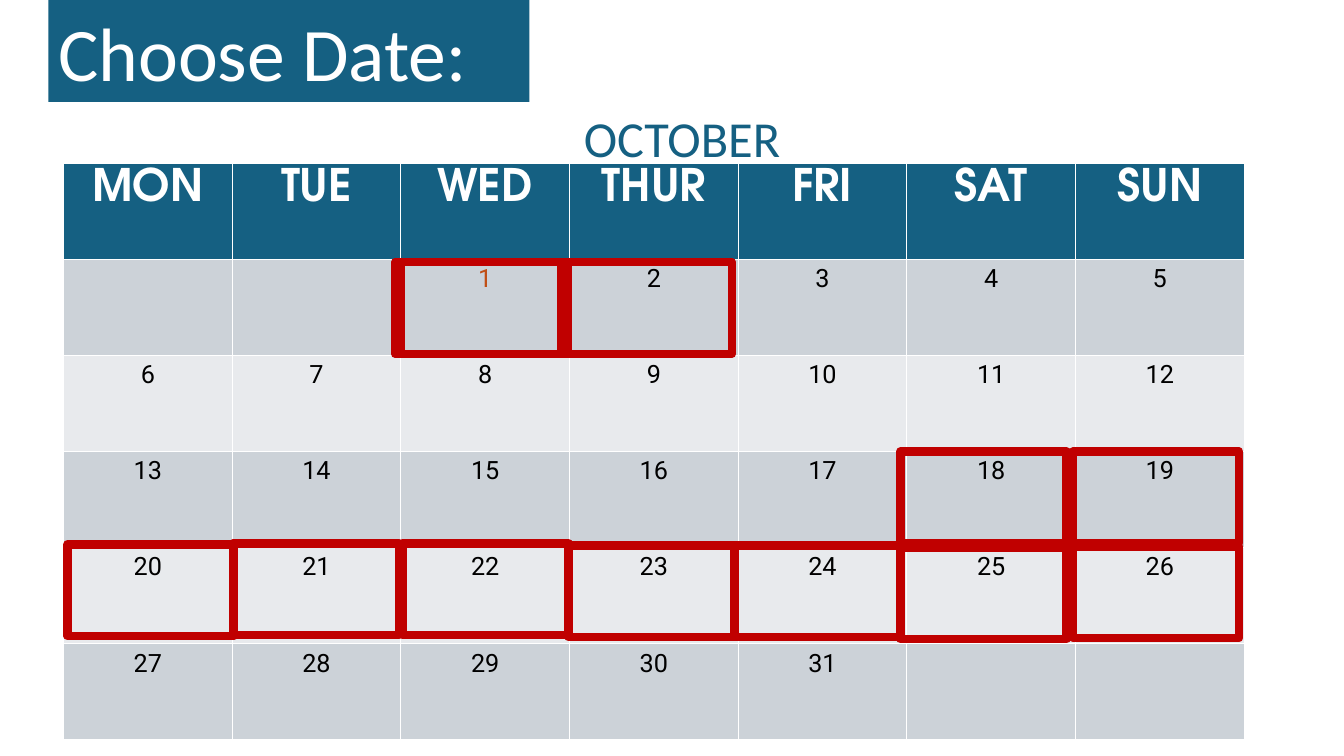
from typing import NamedTuple

from pptx import Presentation
from pptx.dml.color import RGBColor
from pptx.enum.shapes import MSO_SHAPE
from pptx.enum.text import MSO_ANCHOR, PP_ALIGN
from pptx.util import Inches, Pt

RECT = MSO_SHAPE.RECTANGLE
MIDDLE = MSO_ANCHOR.MIDDLE
LEFT, CENTER = PP_ALIGN.LEFT, PP_ALIGN.CENTER

BLUE, WHITE, BLACK = "156082", "FFFFFF", "000000"
RED, ORANGE = "C00000", "C04F15"
BANDS = ("E8EAED", "CCD2D8")

DAYS = ("MON", "TUE", "WED", "THUR", "FRI", "SAT", "SUN")
WEEKS, LAST, OFFSET = 5, 31, 2


class Style(NamedTuple):
    font: str
    size: int
    color: str
    bold: bool = False


class Mark(NamedTuple):
    left: float
    top: float


TITLE = Style("Calibri", 54, WHITE)
MONTH = Style("Calibri", 36, BLUE)
HEAD = Style("TeX Gyre Adventor", 32, WHITE, True)
DATE = Style("Roboto", 18, BLACK)
FIRST = DATE._replace(color=ORANGE)

# Frames around the open dates, back to front
MARKS = (
    Mark(7.28, 5.41), Mark(5.61, 2.6), Mark(8.93, 4.48), Mark(3.98, 2.6),
    Mark(5.64, 5.41), Mark(10.64, 5.42), Mark(10.64, 4.48), Mark(8.93, 5.43),
    Mark(3.92, 2.6), Mark(3.99, 5.39), Mark(2.31, 5.39), Mark(0.67, 5.4),
)


def rgb(code: str) -> RGBColor:
    return RGBColor.from_string(code)


def write(frame, text: str, style: Style, align=CENTER) -> None:
    para = frame.paragraphs[0]
    para.alignment = align
    run = para.add_run()
    run.text = text
    font = run.font
    font.name, font.size, font.bold = style.font, Pt(style.size), style.bold
    font.color.rgb = rgb(style.color)


def paint(cell, color: str) -> None:
    cell.fill.solid()
    cell.fill.fore_color.rgb = rgb(color)


def add_title(slide) -> None:
    box = slide.shapes.add_shape(
        RECT, Inches(0.48), Inches(0), Inches(4.77), Inches(1.01))
    box.shadow.inherit = False
    box.fill.solid()
    box.fill.fore_color.rgb = rgb(BLUE)
    box.line.fill.background()
    box.text_frame.vertical_anchor = MIDDLE
    write(box.text_frame, "Choose Date:", TITLE, LEFT)


def add_dates(slide) -> None:
    table = slide.shapes.add_table(
        WEEKS + 1, len(DAYS),
        Inches(0.63), Inches(1.62), Inches(11.71), Inches(5.72)).table
    for col, day in enumerate(DAYS):
        cell = table.cell(0, col)
        paint(cell, BLUE)
        write(cell.text_frame, day, HEAD)
    for week in range(1, WEEKS + 1):
        for col in range(len(DAYS)):
            cell = table.cell(week, col)
            paint(cell, BANDS[week % 2])
            date = (week - 1) * len(DAYS) + col + 1 - OFFSET
            if 1 <= date <= LAST:
                write(cell.text_frame, str(date), FIRST if date == 1 else DATE)


def add_month(slide) -> None:
    box = slide.shapes.add_textbox(
        Inches(4.53), Inches(1.01), Inches(4.47), Inches(0.71))
    box.text_frame.word_wrap = True
    write(box.text_frame, "OCTOBER", MONTH)


def add_mark(slide, mark: Mark) -> None:
    frame = slide.shapes.add_shape(
        RECT, Inches(mark.left), Inches(mark.top), Inches(1.65), Inches(0.91))
    frame.shadow.inherit = False
    frame.fill.background()
    frame.line.color.rgb = rgb(RED)
    frame.line.width = Pt(6)


def main() -> None:
    deck = Presentation()
    deck.slide_width, deck.slide_height = Inches(13.33), Inches(7.5)
    slide = deck.slides.add_slide(deck.slide_layouts[6])
    add_title(slide)
    add_dates(slide)
    add_month(slide)
    for mark in MARKS:
        add_mark(slide, mark)
    deck.save("out.pptx")


if __name__ == "__main__":
    main()
